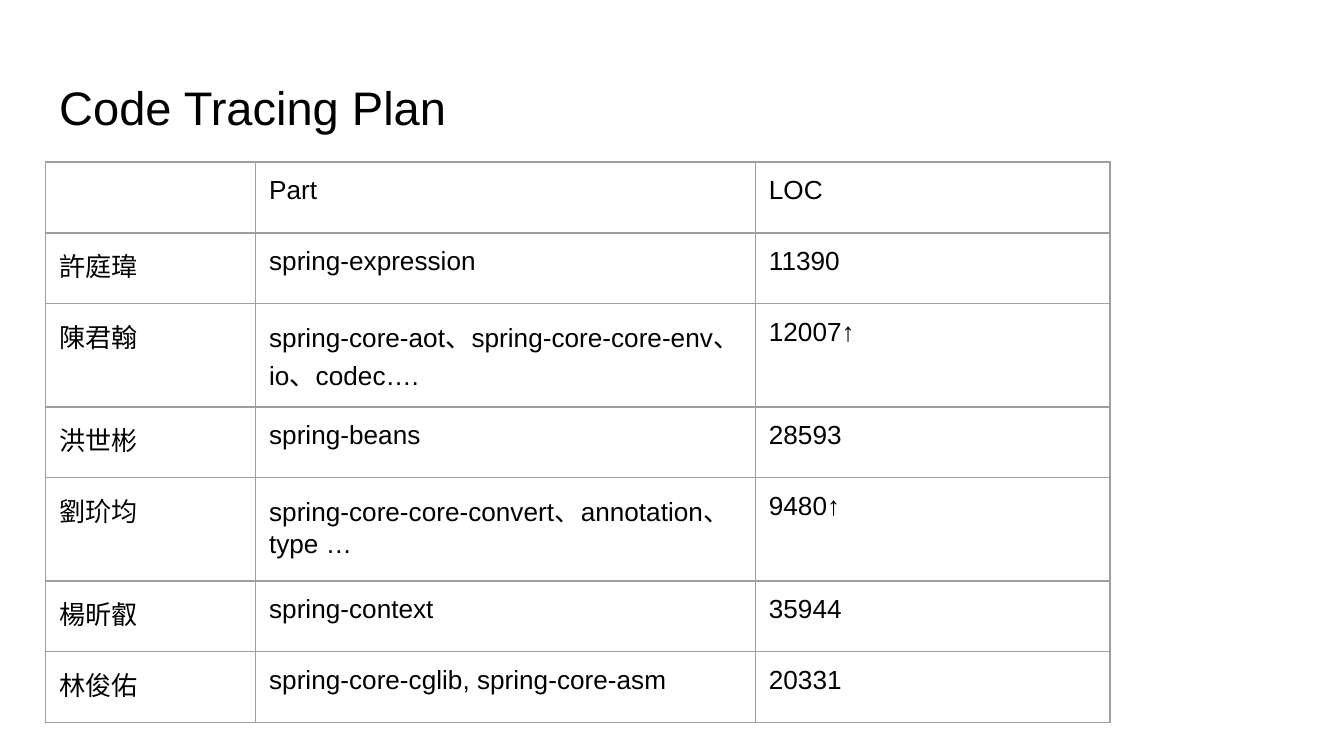
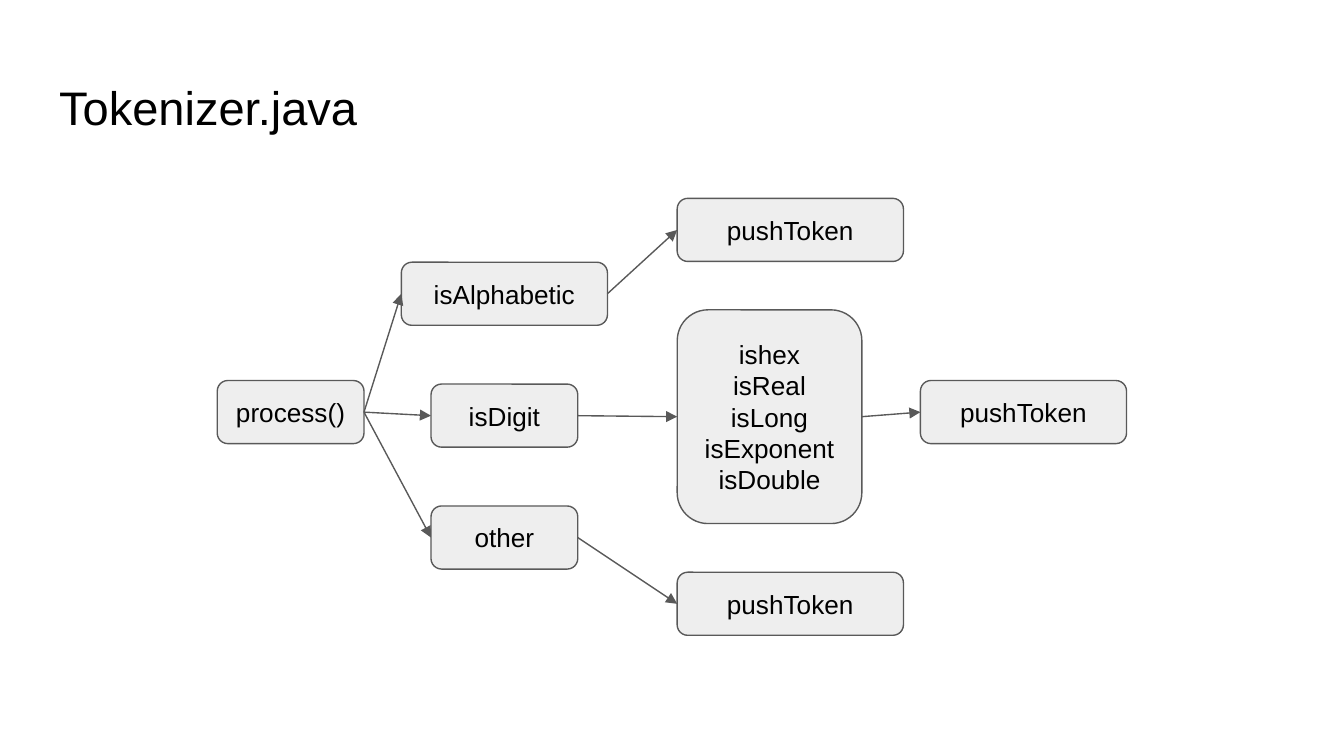
from dataclasses import dataclass

from lxml.etree import SubElement
from pptx import Presentation
from pptx.dml.color import RGBColor
from pptx.enum.shapes import MSO_CONNECTOR, MSO_SHAPE
from pptx.enum.text import MSO_ANCHOR, MSO_AUTO_SIZE, PP_ALIGN
from pptx.oxml import parse_xml
from pptx.oxml.ns import nsdecls, qn
from pptx.presentation import Presentation as Deck
from pptx.shapes.autoshape import Shape
from pptx.slide import Slide
from pptx.table import _Cell
from pptx.text.text import TextFrame
from pptx.util import Pt

# Shared look
BLACK = RGBColor(0x00, 0x00, 0x00)
BOX_FILL = RGBColor(0xEE, 0xEE, 0xEE)
BOX_LINE = RGBColor(0x59, 0x59, 0x59)
GRID_LINE = RGBColor(0x9E, 0x9E, 0x9E)
FONT = "Arial"
TITLE_SIZE = Pt(25.2)
BODY_SIZE = Pt(14)
LINE_WIDTH = Pt(0.75)
INSET = Pt(7.2)
LEFT_MARGIN = Pt(24.5)
TITLE_ONLY_LAYOUT = 5

# Tracing plan table
TABLE_TOP = Pt(86.8)
ROW_HEIGHT = Pt(38)
COLUMN_WIDTHS = (Pt(112.5), Pt(267.75), Pt(190))
PLAN_ROWS = (
    ("", "Part", "LOC"),
    ("許庭瑋", "spring-expression", "11390"),
    ("陳君翰", "spring-core-aot、spring-core-core-env、io、codec….", "12007↑"),
    ("洪世彬", "spring-beans", "28593"),
    ("劉玠均", "spring-core-core-convert、annotation、type …", "9480↑"),
    ("楊昕叡", "spring-context", "35944"),
    ("林俊佑", "spring-core-cglib, spring-core-asm", "20331"),
)

# Tokenizer flow
RIGHT_SIDE, LEFT_SIDE = 3, 1
BOX_HEIGHT = 33.8
NARROW, MEDIUM, WIDE = 78.6, 110.4, 121.2


@dataclass(frozen=True)
class FlowBox:
    key: str
    text: str
    left: float
    top: float
    width: float
    height: float = BOX_HEIGHT


FLOW_BOXES = (
    FlowBox("process", "process()", 116.4, 203.9, NARROW),
    FlowBox("alphabetic", "isAlphabetic", 215, 140.5, MEDIUM),
    FlowBox("digit", "isDigit", 230.9, 205.8, NARROW),
    FlowBox("other", "other", 230.9, 271.1, NARROW),
    FlowBox("push other", "pushToken", 362.8, 306.6, WIDE),
    FlowBox("numbers", "ishex\nisReal\nisLong\nisExponent\nisDouble", 362.8, 166, 98.9, 114.5),
    FlowBox("push number", "pushToken", 493.1, 203.9, MEDIUM),
    FlowBox("push word", "pushToken", 362.8, 106.3, WIDE),
)
FLOW_ARROWS = (
    ("process", "alphabetic"),
    ("process", "digit"),
    ("process", "other"),
    ("alphabetic", "push word"),
    ("digit", "numbers"),
    ("numbers", "push number"),
    ("other", "push other"),
)


def set_text(frame: TextFrame, text: str, size: int, alignment: PP_ALIGN) -> None:
    frame.text = text
    for paragraph in frame.paragraphs:
        paragraph.alignment = alignment
        paragraph.font.name = FONT
        paragraph.font.size = size
        paragraph.font.color.rgb = BLACK


def set_insets(holder: TextFrame | _Cell) -> None:
    holder.margin_left = holder.margin_right = INSET
    holder.margin_top = holder.margin_bottom = INSET


def add_titled_slide(presentation: Deck, text: str) -> Slide:
    slide = presentation.slides.add_slide(presentation.slide_layouts[TITLE_ONLY_LAYOUT])
    title = slide.shapes.title
    title.left, title.top, title.width, title.height = LEFT_MARGIN, Pt(35), Pt(671), Pt(45.1)
    frame = title.text_frame
    frame.auto_size = MSO_AUTO_SIZE.NONE
    frame.word_wrap = True
    frame.vertical_anchor = MSO_ANCHOR.TOP
    set_insets(frame)
    set_text(frame, text, TITLE_SIZE, PP_ALIGN.LEFT)
    return slide


def set_borders(cell: _Cell) -> None:
    properties = cell._tc.get_or_add_tcPr()
    for position, side in enumerate("LRTB"):
        border = parse_xml(
            f'<a:ln{side} {nsdecls("a")} w="{LINE_WIDTH}"><a:solidFill>'
            f'<a:srgbClr val="{GRID_LINE}"/></a:solidFill></a:ln{side}>'
        )
        properties.insert(position, border)


def add_plan_table(slide: Slide) -> None:
    table = slide.shapes.add_table(
        len(PLAN_ROWS), len(COLUMN_WIDTHS), LEFT_MARGIN, TABLE_TOP,
        sum(COLUMN_WIDTHS), ROW_HEIGHT * len(PLAN_ROWS),
    ).table
    table.first_row = table.horz_banding = False
    for column, width in zip(table.columns, COLUMN_WIDTHS):
        column.width = width
    for row, texts in zip(table.rows, PLAN_ROWS):
        row.height = ROW_HEIGHT
        for cell, text in zip(row.cells, texts):
            set_insets(cell)
            cell.fill.background()
            set_borders(cell)
            set_text(cell.text_frame, text, BODY_SIZE, PP_ALIGN.LEFT)


def add_flow_box(slide: Slide, box: FlowBox) -> Shape:
    shape = slide.shapes.add_shape(
        MSO_SHAPE.ROUNDED_RECTANGLE, Pt(box.left), Pt(box.top), Pt(box.width), Pt(box.height)
    )
    shape.shadow.inherit = False
    shape.fill.solid()
    shape.fill.fore_color.rgb = BOX_FILL
    shape.line.color.rgb = BOX_LINE
    shape.line.width = LINE_WIDTH
    frame = shape.text_frame
    frame.word_wrap = True
    frame.vertical_anchor = MSO_ANCHOR.MIDDLE
    set_insets(frame)
    set_text(frame, box.text, BODY_SIZE, PP_ALIGN.CENTER)
    return shape


def add_arrow(slide: Slide, source: Shape, target: Shape) -> None:
    arrow = slide.shapes.add_connector(MSO_CONNECTOR.STRAIGHT, 0, 0, 0, 0)
    arrow.begin_connect(source, RIGHT_SIDE)
    arrow.end_connect(target, LEFT_SIDE)
    arrow.line.color.rgb = BOX_LINE
    arrow.line.width = LINE_WIDTH
    SubElement(arrow.line._get_or_add_ln(), qn("a:tailEnd"), type="triangle", w="med", len="med")
    SubElement(arrow._element.spPr, qn("a:effectLst"))


def main() -> None:
    presentation = Presentation()
    presentation.slide_width, presentation.slide_height = Pt(720), Pt(405)

    # Slide 1: who traces which part
    add_plan_table(add_titled_slide(presentation, "Code Tracing Plan"))

    # Slide 2: flow of the tokenizer
    slide = add_titled_slide(presentation, "Tokenizer.java")
    shapes = {box.key: add_flow_box(slide, box) for box in FLOW_BOXES}
    for source, target in FLOW_ARROWS:
        add_arrow(slide, shapes[source], shapes[target])

    presentation.save("out.pptx")


if __name__ == "__main__":
    main()
